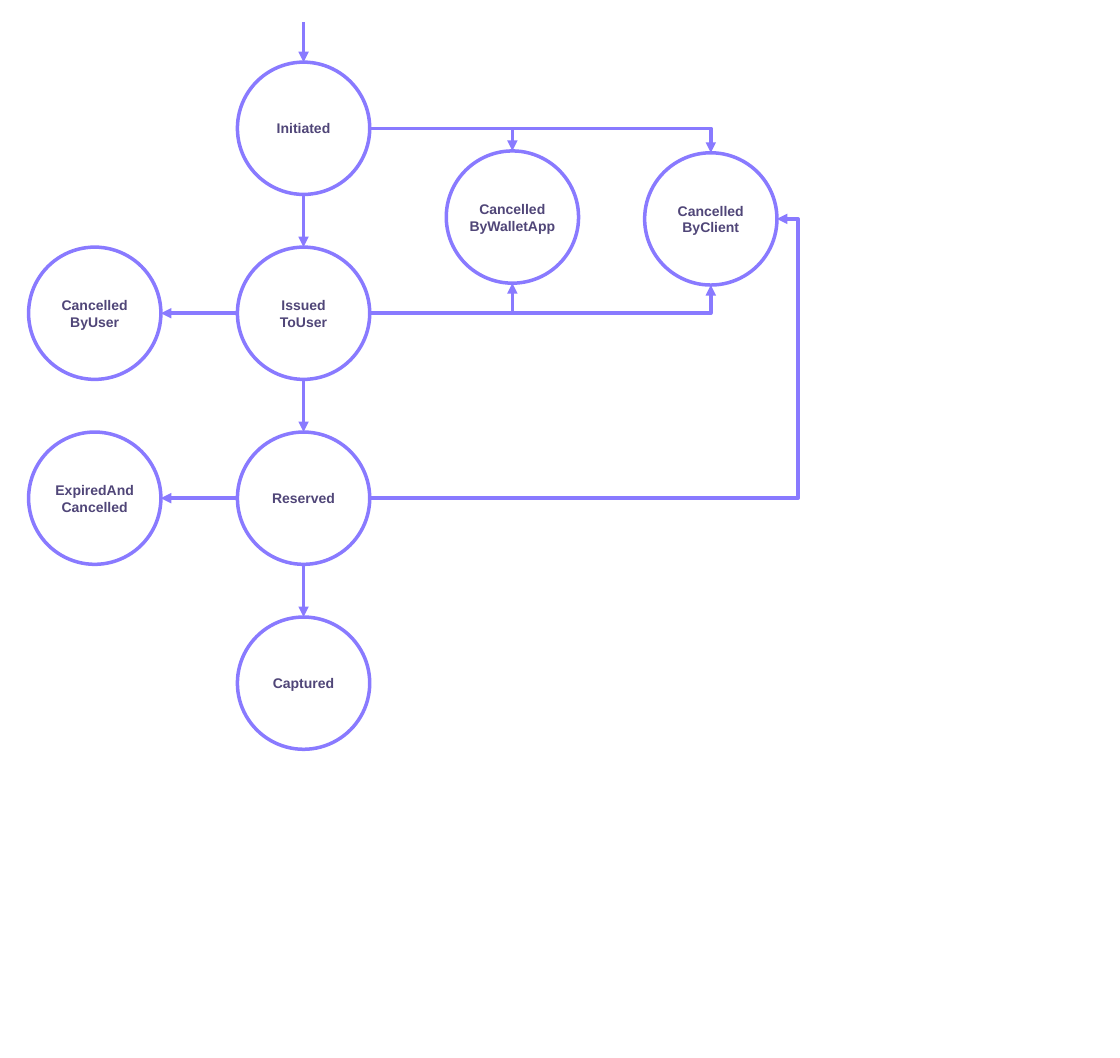
import pptx
import pptx.dml.color
import pptx.enum.shapes
import pptx.enum.text
import pptx.oxml
import pptx.oxml.ns
import pptx.util
from pptx.util import Pt

VIOLET = pptx.dml.color.RGBColor(0x89, 0x7A, 0xFF)
PLUM = pptx.dml.color.RGBColor(0x50, 0x46, 0x78)
WHITE = pptx.dml.color.RGBColor(0xFF, 0xFF, 0xFF)
RADIUS = 56.7
STROKE = 3
KINDS = pptx.enum.shapes.MSO_CONNECTOR

# Name: (column, row, label)
STATES = {
    "initiated": (1, 0, "Initiated"),
    "issued": (1, 1, "Issued\nToUser"),
    "reserved": (1, 2, "Reserved"),
    "captured": (1, 3, "Captured"),
    "user": (0, 1, "Cancelled\nByUser"),
    "expired": (0, 2, "ExpiredAnd\nCancelled"),
    "wallet": (2, 0.48, "Cancelled\nByWalletApp"),
    "client": (2.95, 0.49, "Cancelled\nByClient"),
}
# From state, its side, to state, its side
STEPS = [
    ("initiated", "bottom", "issued", "top"),
    ("issued", "bottom", "reserved", "top"),
    ("reserved", "bottom", "captured", "top"),
    ("issued", "left", "user", "right"),
    ("reserved", "left", "expired", "right"),
    ("initiated", "right", "wallet", "top"),
    ("issued", "right", "wallet", "bottom"),
    ("initiated", "right", "client", "top"),
    ("issued", "right", "client", "bottom"),
    ("reserved", "right", "client", "right"),
]
SIDES = {"top": (0, -1), "bottom": (0, 1), "left": (-1, 0), "right": (1, 0)}


def write(frame, text, size=12, bold=True, color=PLUM, font="Arial"):
    frame.word_wrap = True
    frame.vertical_anchor = pptx.enum.text.MSO_ANCHOR.MIDDLE
    frame.margin_left = frame.margin_right = 0
    frame.margin_top = frame.margin_bottom = 0
    para = frame.paragraphs[0]
    para.alignment = pptx.enum.text.PP_ALIGN.CENTER
    for index, line in enumerate(text.split("\n")):
        if index:
            para.add_line_break()
        run = para.add_run()
        run.text = line
        run.font.size, run.font.bold = Pt(size), bold
        run.font.name, run.font.color.rgb = font, color


def circle(slide, x, y, text):
    """Draw a state centred on x, y."""
    shape = slide.shapes.add_shape(
        pptx.enum.shapes.MSO_SHAPE.OVAL,
        Pt(x - RADIUS), Pt(y - RADIUS), Pt(2 * RADIUS), Pt(2 * RADIUS))
    shape.shadow.inherit = False
    shape.fill.solid()
    shape.fill.fore_color.rgb = WHITE
    shape.line.color.rgb = VIOLET
    shape.line.width = Pt(STROKE)
    write(shape.text_frame, text)


def arrow(slide, start, end, bend=None):
    """Draw a straight arrow, a one-corner elbow ("corner"), or an elbow
    that turns at a fraction of its width (a number)."""
    kind = KINDS.STRAIGHT if bend is None else KINDS.ELBOW
    line = slide.shapes.add_connector(kind, *map(Pt, start + end))
    line.line.color.rgb = VIOLET
    line.line.width = Pt(STROKE)
    props = line._element.spPr
    tip = pptx.oxml.parse_xml(
        f'<a:tailEnd {pptx.oxml.ns.nsdecls("a")} type="triangle"/>')
    line.line._get_or_add_ln().append(tip)
    props.append(pptx.oxml.parse_xml(
        f'<a:effectLst {pptx.oxml.ns.nsdecls("a")}/>'))
    shape = props.find(pptx.oxml.ns.qn("a:prstGeom"))
    if bend == "corner":
        shape.set("prst", "bentConnector2")
    elif bend is not None:
        guide = pptx.oxml.parse_xml(
            f'<a:gd {pptx.oxml.ns.nsdecls("a")} name="adj1" '
            f'fmla="val {round(bend * 100000)}"/>')
        shape.find(pptx.oxml.ns.qn("a:avLst")).append(guide)


def flow(slide, left, top, width):
    """Draw the state chart; the outer return line runs on the right edge."""
    entry, across, down = 34, 179, 158.6
    spots = {}
    for name, (col, row, text) in STATES.items():
        x = left + RADIUS + col * across
        y = top + entry + RADIUS + row * down
        spots[name] = x, y
        circle(slide, x, y, text)

    def edge(name, side):
        return tuple(c + RADIUS * d for c, d in zip(spots[name], SIDES[side]))

    first = edge("initiated", "top")
    arrow(slide, (first[0], top), first)
    for source, out, target, into in STEPS:
        start, end = edge(source, out), edge(target, into)
        bend = None
        if out == into:
            bend = (left + width - start[0]) / (end[0] - start[0])
        elif out == "right":
            bend = "corner"
        arrow(slide, start, end, bend)


def main():
    deck = pptx.Presentation()
    deck.slide_width, deck.slide_height = Pt(960), Pt(907.2)
    slide = deck.slides.add_slide(deck.slide_layouts[6])
    flow(slide, left=24.5, top=19.3, width=659.5)
    deck.save("out.pptx")


if __name__ == "__main__":
    main()
